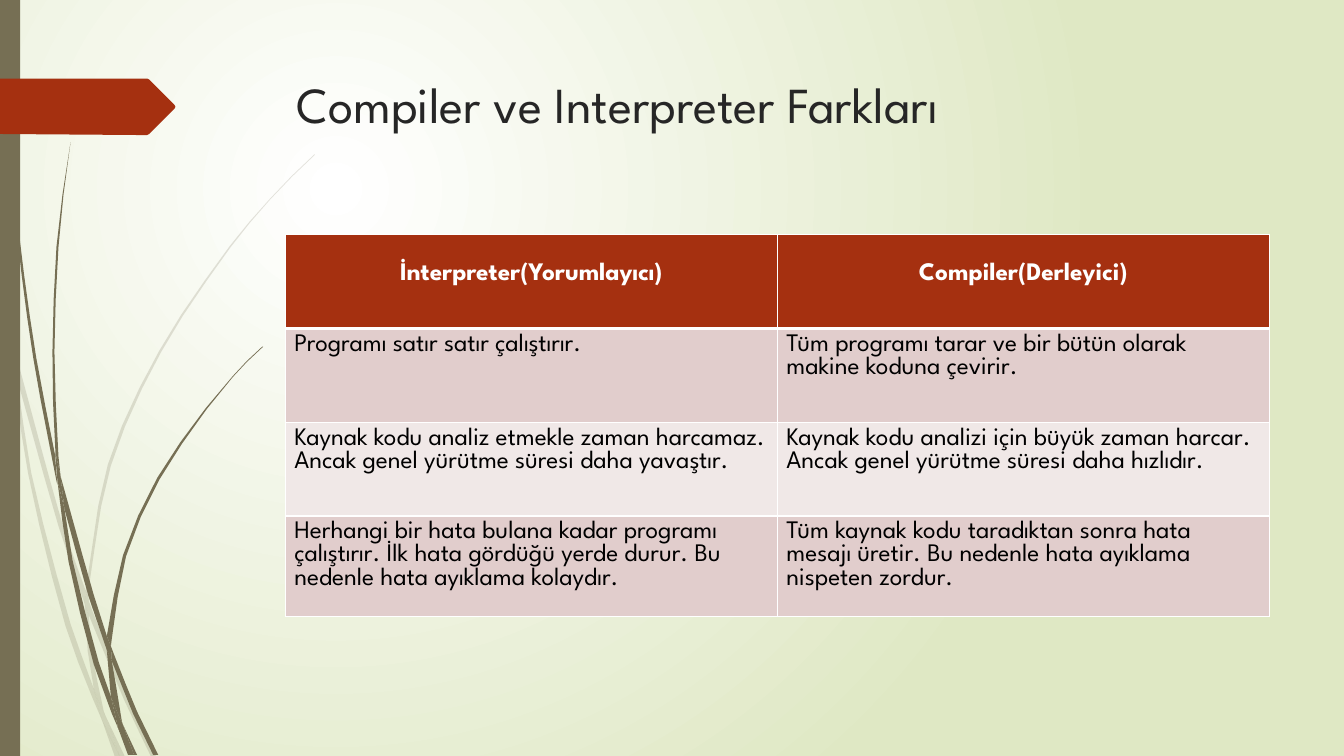
from dataclasses import dataclass
from itertools import pairwise
from math import dist

from lxml import etree
from pptx import Presentation
from pptx.dml.color import RGBColor
from pptx.enum.shapes import MSO_SHAPE
from pptx.enum.text import MSO_ANCHOR, PP_ALIGN
from pptx.oxml.ns import qn
from pptx.util import Pt

PX = 9144  # EMU per px, 100 px to the inch
SLIDE_W, SLIDE_H = 1333, 750
CURVE_STEP = 60  # px of chord for each added point

OLIVE = RGBColor(0x76, 0x6F, 0x54)
RUST = RGBColor(0xA5, 0x30, 0x10)
INK = RGBColor(0x26, 0x26, 0x26)
BLACK = RGBColor(0, 0, 0)
WHITE = RGBColor(0xFF, 0xFF, 0xFF)
PALE_GREEN = RGBColor(0xDF, 0xE8, 0xC4)
ROSE = RGBColor(0xE1, 0xCD, 0xCC)
PALE_ROSE = RGBColor(0xF0, 0xE8, 0xE7)

RECTANGLE = MSO_SHAPE.RECTANGLE
TOP = MSO_ANCHOR.TOP
LEFT, CENTER = PP_ALIGN.LEFT, PP_ALIGN.CENTER

Point = tuple[float, float]
Side = list[Point]


@dataclass(frozen=True)
class Stalk:
    """One bunch of grass: blades, each with two curved sides."""
    blades: list[tuple[Side, Side]]
    opacity: int


@dataclass(frozen=True)
class RowStyle:
    fill: RGBColor
    align: int
    margin_top: int
    font: dict


PALE_STALK = Stalk([
    ([(0, 282), (9, 322), (11, 350)], [(10, 344), (0, 299)]),
    ([(14, 345), (62, 520), (85, 586)], [(84, 599), (58, 522), (17, 376)]),
    ([(88, 596), (92, 607), (127, 692), (155, 751)], [(150, 751), (123, 694), (88, 610)]),
    ([(105, 711), (124, 751)], [(119, 751)]),
    ([(11, 350), (17, 376), (31, 469), (70, 619), (93, 683), (99, 707), (101, 714)],
     [(101, 714), (92, 693), (65, 621), (28, 470), (11, 350)]),
    ([(84, 599), (87, 646), (93, 683), (96, 692), (105, 711)],
     [(105, 711), (103, 706), (91, 646), (88, 610), (84, 599)]),
    ([(85, 586), (107, 461), (158, 348), (228, 244), (268, 197), (289, 175), (312, 153)],
     [(312, 154), (290, 175), (268, 198), (229, 245), (160, 349), (110, 462), (88, 584), (88, 596)]),
    ([(101, 714), (114, 751)], [(119, 751)]),
    ([(84, 599), (85, 586)], [(88, 596), (88, 610)]),
    ([(93, 683), (99, 707), (101, 714), (119, 751)], [(119, 751), (105, 711), (96, 692)]),
], 20)

DARK_STALK = Stalk([
    ([(3, 0), (4, 48), (7, 110), (17, 233), (33, 355), (56, 477), (57, 481)],
     [(55, 457), (55, 453), (36, 355), (19, 232), (8, 109), (5, 48), (4, 0)]),
    ([(60, 472), (93, 590), (106, 631)], [(106, 645), (88, 592), (64, 505)]),
    ([(110, 641), (113, 649), (136, 706), (157, 749)], [(152, 749), (132, 708), (111, 656)]),
    ([(57, 477), (64, 505), (72, 556), (98, 657), (110, 691), (116, 717), (117, 722)],
     [(117, 722), (111, 708), (93, 659), (68, 557), (57, 477)]),
    ([(70, 141), (62, 193), (56, 245), (52, 349), (55, 449), (60, 472)],
     [(60, 472), (58, 453), (54, 349), (58, 245), (63, 193), (70, 141)]),
    ([(122, 719), (136, 749)], [(133, 749)]),
    ([(57, 477), (64, 505)], [(60, 472), (55, 449), (55, 453)]),
    ([(106, 631), (122, 551), (156, 474), (204, 405), (231, 373), (245, 358), (260, 344)],
     [(261, 344), (245, 359), (231, 374), (205, 406), (158, 476), (125, 552), (111, 633), (110, 641)]),
    ([(117, 722), (127, 749)], [(131, 749)]),
    ([(106, 645), (110, 691), (116, 706), (122, 719)], [(121, 716), (111, 656), (109, 651)]),
    ([(106, 631), (106, 645)], [(111, 656), (110, 641)]),
    ([(110, 691), (116, 717), (117, 722), (130, 749)], [(133, 749), (122, 719), (116, 706)]),
], 100)

ARROW_TAG = [(0, 78), (146, 78), (148, 79), (173, 104), (174, 106), (173, 108),
             (148, 133), (146, 134), (136, 134), (0, 133)]

TITLE_FONT = {"name": "League Spartan", "size": Pt(36), "bold": False}
HEAD_FONT = {"name": "League Spartan", "size": Pt(18), "bold": True}
BODY_FONT = HEAD_FONT | {"bold": False}

HEAD_STYLE = RowStyle(RUST, CENTER, 28, HEAD_FONT)
ODD_STYLE = RowStyle(ROSE, LEFT, 5, BODY_FONT)
EVEN_STYLE = RowStyle(PALE_ROSE, LEFT, 5, BODY_FONT)

DIFFERENCES = [
    ("İnterpreter(Yorumlayıcı)", "Compiler(Derleyici)"),
    ("Programı satır satır çalıştırır.",
     "Tüm programı tarar ve bir bütün olarak makine koduna çevirir."),
    ("Kaynak kodu analiz etmekle zaman harcamaz. Ancak genel yürütme süresi daha yavaştır.",
     "Kaynak kodu analizi için büyük zaman harcar. Ancak genel yürütme süresi daha hızlıdır."),
    ("Herhangi bir hata bulana kadar programı çalıştırır. İlk hata gördüğü yerde durur. "
     "Bu nedenle hata ayıklama kolaydır.",
     "Tüm kaynak kodu taradıktan sonra hata mesajı üretir. Bu nedenle hata ayıklama nispeten zordur."),
]


def set_format(target, values: dict) -> None:
    for key, value in values.items():
        setattr(target, key, value)


def smooth(side: Side) -> Side:
    """Points of a cubic curve through every point of the side."""
    if len(side) < 3:
        return side
    slopes = []
    for i in range(len(side)):
        around = side[max(i - 1, 0):i + 2]
        length = sum(dist(a, b) for a, b in pairwise(around))
        slopes.append([(b - a) / length for a, b in zip(around[0], around[-1])])
    curve = [side[0]]
    for i, (start, end) in enumerate(pairwise(side)):
        chord = dist(start, end)
        steps = 1 + int(chord // CURVE_STEP)
        for step in range(1, steps + 1):
            t = step / steps
            curve.append(tuple(
                (2*t**3 - 3*t**2 + 1) * start[k] + (t**3 - 2*t**2 + t) * chord * slopes[i][k]
                + (3*t**2 - 2*t**3) * end[k] + (t**3 - t**2) * chord * slopes[i + 1][k]
                for k in (0, 1)))
    return curve


def paint(shape, color: RGBColor, opacity: int = 100) -> None:
    shape.shadow.inherit = False
    shape.fill.solid()
    shape.fill.fore_color.rgb = color
    shape.line.fill.background()
    if opacity < 100:
        rgb = shape.element.spPr.find(f"{qn('a:solidFill')}/{qn('a:srgbClr')}")
        etree.SubElement(rgb, qn("a:alpha"), val=str(opacity * 1000))


def draw_outline(slide, points: Side, color: RGBColor, opacity: int = 100) -> None:
    start, *rest = [(round(x * PX), round(y * PX)) for x, y in points]
    builder = slide.shapes.build_freeform(*start)
    builder.add_line_segments(rest, close=True)
    paint(builder.convert_to_shape(), color, opacity)


def draw_background(slide) -> None:
    fill = slide.background.fill
    fill.gradient()
    for stop, color in zip(fill.gradient_stops, (WHITE, PALE_GREEN)):
        stop.color.rgb = color
    gradient = next(slide.element.iter(qn("a:gradFill")))
    gradient.remove(gradient.find(qn("a:lin")))
    circle = etree.SubElement(gradient, qn("a:path"), path="circle")
    etree.SubElement(circle, qn("a:fillToRect"), l="50000", t="50000", r="100000", b="100000")


def write(frame, text: str, font: dict, color: RGBColor, align: int) -> None:
    paragraph = frame.paragraphs[0]
    paragraph.alignment = align
    run = paragraph.add_run()
    run.text = text
    set_format(run.font, font)
    run.font.color.rgb = color


def draw_title(slide, text: str) -> None:
    frame = slide.shapes.add_textbox(284 * PX, 68 * PX, 975 * PX, 140 * PX).text_frame
    set_format(frame, {"word_wrap": True, "vertical_anchor": TOP})
    write(frame, text, TITLE_FONT, INK, LEFT)


def draw_borders(cell, widths: dict[str, int]) -> None:
    properties = cell._tc.get_or_add_tcPr()
    for index, (edge, width) in enumerate(widths.items()):
        line = etree.Element(qn(f"a:ln{edge}"), w=str(int(Pt(width))))
        solid = etree.SubElement(line, qn("a:solidFill"))
        etree.SubElement(solid, qn("a:srgbClr"), val=str(WHITE))
        properties.insert(index, line)


def draw_table(slide) -> None:
    table = slide.shapes.add_table(len(DIFFERENCES), 2, 283 * PX, 233 * PX, 976 * PX, 372 * PX).table
    set_format(table, {"first_row": True, "horz_banding": False})
    for r, texts in enumerate(DIFFERENCES):
        style = HEAD_STYLE if r == 0 else ODD_STYLE if r % 2 else EVEN_STYLE
        for c, text in enumerate(texts):
            cell = table.cell(r, c)
            set_format(cell, {"margin_left": 9 * PX, "margin_right": 9 * PX, "margin_bottom": 5 * PX,
                              "margin_top": style.margin_top * PX, "vertical_anchor": TOP})
            cell.fill.solid()
            cell.fill.fore_color.rgb = style.fill
            draw_borders(cell, {"L": 1, "R": 1, "T": 3 if r == 1 else 1, "B": 3 if r == 0 else 1})
            write(cell.text_frame, text, style.font, WHITE if r == 0 else BLACK, style.align)


def main() -> None:
    deck = Presentation()
    set_format(deck, {"slide_width": SLIDE_W * PX, "slide_height": SLIDE_H * PX})
    slide = deck.slides.add_slide(deck.slide_layouts[6])
    draw_background(slide)
    for stalk in (PALE_STALK, DARK_STALK):
        for left, right in stalk.blades:
            draw_outline(slide, smooth(left) + smooth(right), OLIVE, stalk.opacity)
    paint(slide.shapes.add_shape(RECTANGLE, 0, 0, 20 * PX, SLIDE_H * PX), OLIVE)
    draw_outline(slide, ARROW_TAG, RUST)
    draw_title(slide, "Compiler ve Interpreter Farkları")
    draw_table(slide)
    deck.save("out.pptx")


if __name__ == "__main__":
    main()
